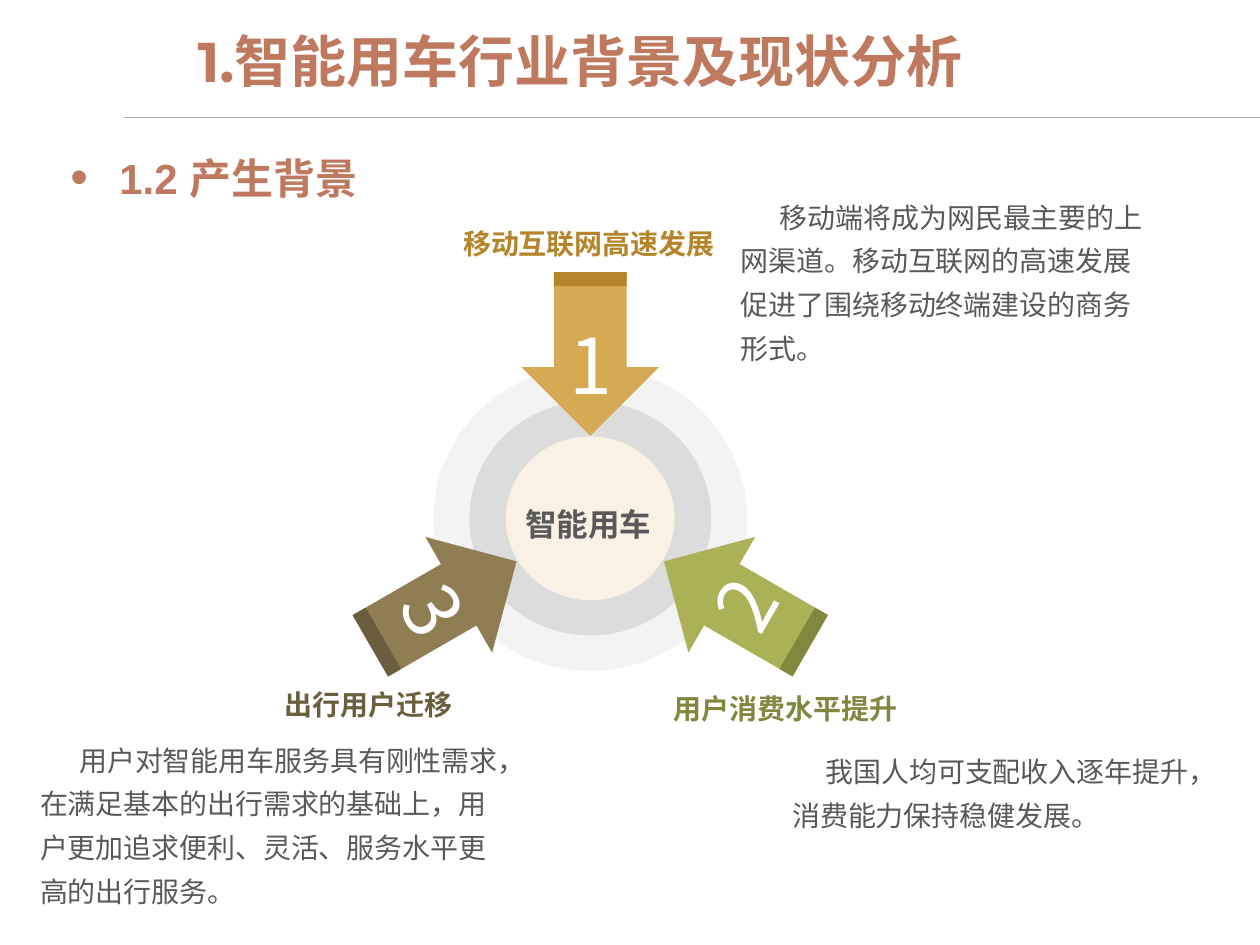
from math import cos, radians, sin

from lxml import etree
from pptx import Presentation
from pptx.dml.color import RGBColor
from pptx.enum.shapes import MSO_CONNECTOR, MSO_SHAPE
from pptx.enum.text import MSO_ANCHOR, MSO_AUTO_SIZE, PP_ALIGN
from pptx.oxml.ns import qn
from pptx.util import Pt

CJK = "Noto Sans CJK SC"
GREY = "595959"
CLAY = "BE795E"
MID_X, MID_Y = 337.3, 296.2
NECK = 0.531  # shaft width as a share of arrow width


def paint(color, code):
    color.rgb = RGBColor.from_string(code)


class Deck:
    def __init__(self, wide, high):
        self.prs = Presentation()
        self.prs.slide_width, self.prs.slide_height = Pt(wide), Pt(high)
        self.slide = self.prs.slides.add_slide(self.prs.slide_layouts[5])
        self.shapes = self.slide.shapes

    def run(self, para, text, size, code, bold=False, font=CJK):
        run = para.add_run()
        run.text = text
        run.font.size, run.font.bold, run.font.name = Pt(size), bold, font
        paint(run.font.color, code)
        east = etree.SubElement(run.font._element, qn("a:ea"))
        east.set("typeface", CJK)

    def title(self, x, y, w, h, text):
        box = self.shapes.title
        box.left, box.top, box.width, box.height = map(Pt, (x, y, w, h))
        frame = box.text_frame
        frame.auto_size = MSO_AUTO_SIZE.NONE
        frame.vertical_anchor = MSO_ANCHOR.MIDDLE
        para = frame.paragraphs[0]
        para.alignment, para.line_spacing = PP_ALIGN.LEFT, 0.9
        self.run(para, text, 32, CLAY, True, "Montserrat")

    def rule(self, x, y, end):
        line = self.shapes.add_connector(
            MSO_CONNECTOR.STRAIGHT, Pt(x), Pt(y), Pt(end), Pt(y))
        line.line.width = Pt(0.5)
        paint(line.line.color, "ACACAC")
        etree.SubElement(line._element.spPr, qn("a:effectLst"))

    def shape(self, kind, x, y, w, h, code, turn=0):
        """Add a plain filled shape centred on x, y."""
        item = self.shapes.add_shape(
            kind, Pt(x - w / 2), Pt(y - h / 2), Pt(w), Pt(h))
        item.shadow.inherit = False
        item.fill.solid()
        paint(item.fill.fore_color, code)
        item.line.fill.background()
        item.rotation = turn
        return item

    def arrow(self, x, y, w, h, turn, code, dark, cap):
        """Add a down arrow with a dark cap across its tail."""
        item = self.shape(MSO_SHAPE.DOWN_ARROW, x, y, w, h, code, turn)
        item.adjustments[0], item.adjustments[1] = NECK, 0.5
        reach, angle = (h - cap) / 2, radians(turn)
        self.shape(MSO_SHAPE.RECTANGLE, x + reach * sin(angle),
                   y - reach * cos(angle), w * NECK, cap, dark, turn)

    def text(self, x, y, w, h, text, size, code, bold=False, wrap=True,
             align=PP_ALIGN.LEFT, space=1.0, indent=0, turn=0, font=CJK):
        box = self.shapes.add_textbox(Pt(x), Pt(y), Pt(w), Pt(h))
        box.rotation = turn
        frame = box.text_frame
        frame.word_wrap = wrap
        frame.auto_size = MSO_AUTO_SIZE.SHAPE_TO_FIT_TEXT
        para = frame.paragraphs[0]
        para.alignment, para.line_spacing = align, space
        if indent:
            para._p.get_or_add_pPr().set("indent", str(Pt(indent)))
        self.run(para, text, size, code, bold, font)
        return box

    def bullet(self, x, y, w, h, text):
        box = self.text(x, y, w, h, text, 24, CLAY, True,
                        align=PP_ALIGN.JUSTIFY, space=1.1, indent=-28,
                        font="Arial")
        box.text_frame.auto_size = MSO_AUTO_SIZE.NONE
        para = box.text_frame.paragraphs[0]
        para.space_before = Pt(18)
        props = para._p.get_or_add_pPr()
        props.set("marL", str(Pt(28)))
        tint = etree.SubElement(props, qn("a:buClr"))
        etree.SubElement(tint, qn("a:srgbClr")).set("val", CLAY)
        etree.SubElement(props, qn("a:buSzPct")).set("val", "120000")
        etree.SubElement(props, qn("a:buFont")).set("typeface", "Arial")
        etree.SubElement(props, qn("a:buChar")).set("char", "•")


def main():
    deck = Deck(720, 540)
    deck.rule(70.6, 67, 720)
    deck.title(105.8, 9, 564.5, 55.4, "1.智能用车行业背景及现状分析")
    deck.bullet(33.1, 80.6, 653, 409, "1.2 产生背景")

    rings = [(179.3, 174.2, "F3F3F3"), (138.2, 133.9, "DCDCDC"),
             (96.5, 93.6, "F9F1E3")]
    for w, h, code in rings:
        deck.shape(MSO_SHAPE.OVAL, MID_X, MID_Y, w, h, code)

    # centre, size, turn, fill, cap fill, cap height
    arrows = [
        (MID_X, 202.3, 78.5, 93.6, 0, "D6A953", "B4852B", 8),
        (MID_X + 83.9, 344.9, 76.3, 96.5, 120, "ABB157", "82873F", 8.6),
        (MID_X - 83.9, 344.9, 76.3, 96.5, 240, "8F7E53", "6B5E3E", 8.6),
    ]
    # box, turn
    digits = [(318.2, 177.8, 38.2, 54.7, 0), (405.2, 316.8, 36.7, 56.9, 300),
              (231.1, 318.2, 36.7, 56.9, 60)]
    for num, (arrow, digit) in enumerate(zip(arrows, digits), 1):
        deck.arrow(*arrow)
        *area, turn = digit
        deck.text(*area, str(num), 44, "FFFFFF", wrap=False,
                  align=PP_ALIGN.CENTER, turn=turn)

    # right edge, top, width
    labels = [
        (265.7, 387.4, 114, "出行用户迁移", "6B5F3E"),
        (519.8, 389.5, 146, "用户消费水平提升", "82873F"),
        (415.4, 124.2, 162, "移动互联网高速发展", "B4852B"),
    ]
    for edge, y, w, text, code in labels:
        deck.text(edge - w, y, w, 27.4, text, 16, code, True, False,
                  PP_ALIGN.RIGHT, 1.1)
    deck.text(293, 278.6, 97.9, 35.3, "智能用车", 18, GREY, True, space=1.3)

    notes = [
        (416.2, 105.1, 249.1, 105.8, 22.4,
         "移动端将成为网民最主要的上网渠道。移动互联网的高速发展"
         "促进了围绕移动终端建设的商务形式。"),
        (445.7, 421.9, 249.1, 55.4, 19,
         "我国人均可支配收入逐年提升，消费能力保持稳健发展。"),
        (15.8, 415.4, 281.5, 105.8, 22.4,
         "用户对智能用车服务具有刚性需求，在满足基本的出行需求的基础上，"
         "用户更加追求便利、灵活、服务水平更高的出行服务。"),
    ]
    for x, y, w, h, indent, text in notes:
        deck.text(x, y, w, h, text, 16, GREY, space=1.3, indent=indent,
                  font="Arial")
    deck.prs.save("out.pptx")


if __name__ == "__main__":
    main()
